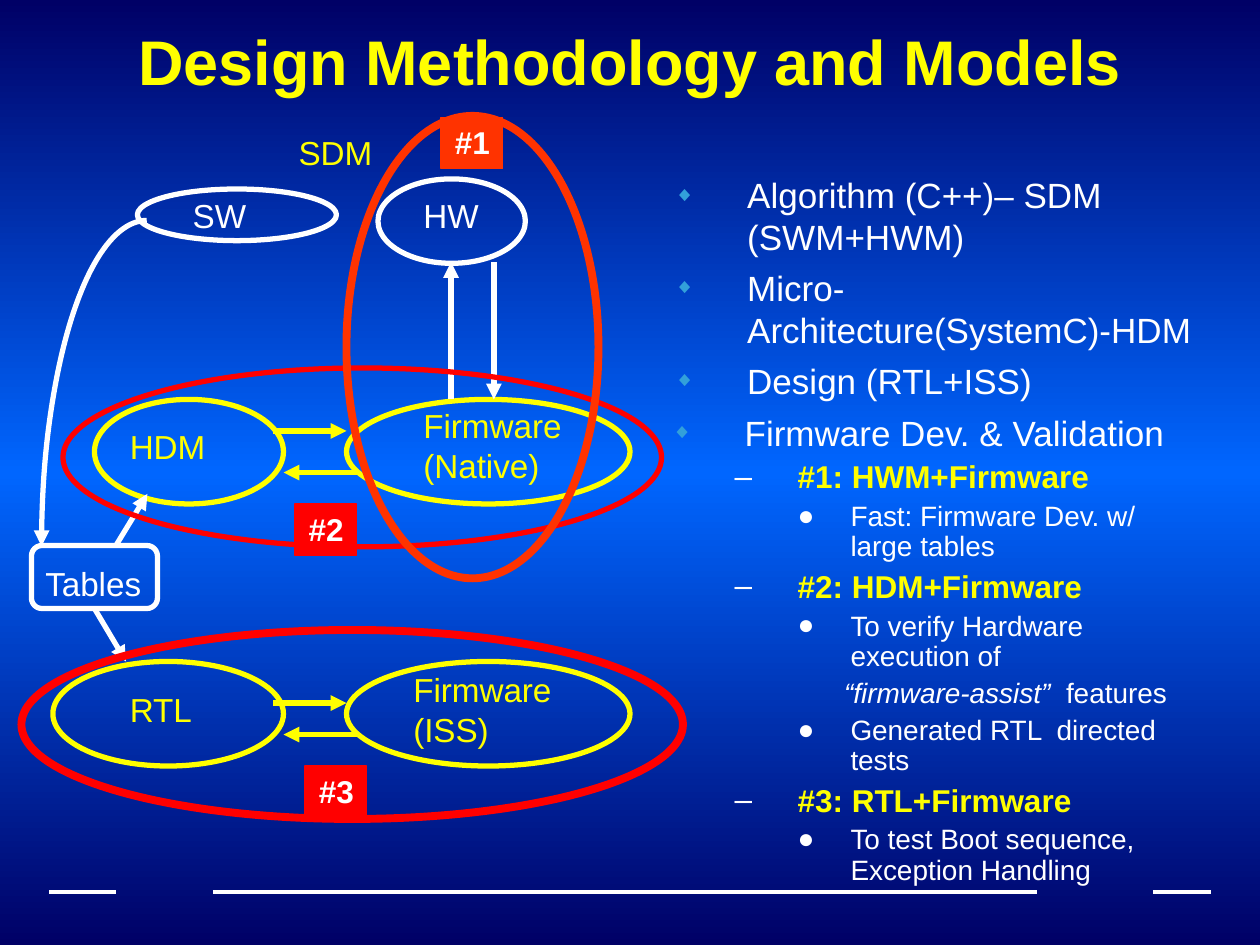
from copy import deepcopy
from lxml.etree import SubElement
from pptx import Presentation
from pptx.dml.color import RGBColor
from pptx.enum.shapes import MSO_CONNECTOR, MSO_SHAPE
from pptx.enum.text import MSO_ANCHOR, MSO_AUTO_SIZE, PP_ALIGN
from pptx.oxml.ns import qn
from pptx.util import Inches, Pt

FONT = "Arial"
COLORS = {
    "white": "FFFFFF", "yellow": "FFFF00", "red": "FF0000", "orange": "FF3300",
    "navy": "000066", "blue": "0066FF", "bullet": "32A0DA",
}
BACKGROUND = [(0, "navy"), (0.5, "blue"), (1, "navy")]
TITLE = "Design Methodology and Models"

LEVELS = {
    "topic": dict(level=0, left=0.58, hang=0.58, before=5, size=20, color="white",
                  bullet="◆", bullet_color="bullet", bullet_size=60),
    "pair": dict(level=1, left=1, hang=0.5, before=4.5, size=18, color="yellow",
                 bullet="–", bullet_color="white", bullet_size=100),
    "detail": dict(level=2, left=1.42, hang=0.42, before=4, size=16, color="white",
                   bullet="●", bullet_color="white", bullet_size=100),
    "plain": dict(level=2, left=1.37, hang=0, before=4, size=16, color="white",
                  bullet=None),
}
MODELS = [
    ("topic", ["Algorithm (C++)– SDM (SWM+HWM)"]),
    ("topic", ["Micro-Architecture(SystemC)-HDM"]),
    ("topic", ["Design (RTL+ISS)"]),
]
VALIDATION = [
    ("topic", ["Firmware Dev. & Validation"]),
    ("pair", ["#1: HWM+Firmware"]),
    ("detail", ["Fast: Firmware Dev. w/ large tables"]),
    ("pair", ["#2: HDM+Firmware"]),
    ("detail", ["To verify Hardware execution of"]),
    ("plain", ["“firmware-assist” ", " features"]),
    ("detail", ["Generated RTL  directed tests"]),
    ("pair", ["#3: RTL+Firmware"]),
    ("detail", ["To test Boot sequence, Exception Handling"]),
]
ITALIC = "“firmware-assist” "

NODES = [
    ("ellipse", (1.09, 1.5, 1.58, 0.41), "white"),
    ("ellipse", (3, 1.42, 1.17, 0.67), "white"),
    ("ellipse", (0.75, 3.17, 1.5, 0.83), "yellow"),
    ("ellipse", (2.75, 3.17, 2.25, 0.83), "yellow"),
    ("ellipse", (0.42, 5.25, 1.83, 0.83), "yellow"),
    ("ellipse", (2.75, 5.25, 2.25, 0.83), "yellow"),
    ("tables", (0.25, 4.33, 1, 0.5), "white"),
]
LABELS = [
    ("SDM", (2.26, 1, 0.8, 0.42), "yellow", False),
    ("SW", (1.42, 1.5, 0.64, 0.42), "white", False),
    ("HW", (3.25, 1.5, 0.65, 0.42), "white", False),
    ("HDM", (0.92, 3.33, 0.81, 0.42), "yellow", False),
    ("Firmware (Native)", (3.25, 3.17, 1.42, 0.74), "yellow", True),
    ("Tables", (0.25, 4.42, 1, 0.42), "white", False),
    ("RTL", (0.92, 5.42, 0.71, 0.42), "yellow", False),
    ("Firmware (ISS)", (3.17, 5.26, 1.42, 0.74), "yellow", True),
]
ARROWS = [
    ((2.17, 3.42), (2.75, 3.42), "yellow"),
    ((2.83, 3.75), (2.25, 3.75), "yellow"),
    ((2.17, 5.58), (2.75, 5.58), "yellow"),
    ((2.83, 5.83), (2.25, 5.83), "yellow"),
    ((3.92, 2.08), (3.92, 3.17), "white"),
    ((3.58, 3.17), (3.58, 2.08), "white"),
    ((0.92, 4.33), (1.17, 3.92), "white"),
    ((0.75, 4.83), (1, 5.25), "white"),
]
SW_TO_TABLES = (0.33, 1.75, 1.67, 5.17)
GROUPS = [
    ((0.5, 2.92, 4.75, 1.42), "red", 3),
    ((2.75, 0.92, 2, 3.67), "orange", 4.5),
    ((0.17, 5, 5.25, 1.5), "red", 4.5),
]
BADGES = [("#1", 3.5, 0.93, "orange"), ("#2", 2.34, 4, "red"), ("#3", 2.42, 6.08, "red")]
FOOTER_Y = 7.08
FOOTER_RULES = [(0.39, 0.92), (1.69, 8.23), (9.15, 9.61)]
KINDS = {"ellipse": MSO_SHAPE.OVAL, "tables": MSO_SHAPE.ROUNDED_RECTANGLE,
         "arc": MSO_SHAPE.ARC, "badge": MSO_SHAPE.RECTANGLE}


def rgb(name):
    return RGBColor.from_string(COLORS[name])


def place(box, bounds):
    box.left, box.top, box.width, box.height = map(Inches, bounds)


def add_span(para, text, size, color, bold=False):
    span = para.add_run()
    span.text = text
    span.font.name, span.font.size, span.font.bold = FONT, Pt(size), bold
    span.font.color.rgb = rgb(color)
    return span


def set_frame(frame, wrap):
    frame.word_wrap = wrap
    frame.auto_size = MSO_AUTO_SIZE.NONE
    frame.vertical_anchor = MSO_ANCHOR.TOP
    frame.margin_left = frame.margin_right = Inches(0.11)
    frame.margin_top = frame.margin_bottom = Inches(0.05)


def add_arrowhead(item, end):
    line = item.line._get_or_add_ln()
    SubElement(line, qn(f"a:{end}"), type="triangle")


def add_outline(page, kind, bounds, color, width=3):
    shape = page.shapes.add_shape(KINDS[kind], *map(Inches, bounds))
    shape.shadow.inherit = False
    shape.fill.background()
    shape.line.color.rgb = rgb(color)
    shape.line.width = Pt(width)
    return shape


def add_line(page, start, end, color, width, arrow=False):
    line = page.shapes.add_connector(MSO_CONNECTOR.STRAIGHT, *map(Inches, start + end))
    line.line.color.rgb = rgb(color)
    line.line.width = Pt(width)
    if arrow:
        add_arrowhead(line, "tailEnd")
    SubElement(line.element.spPr, qn("a:effectLst"))


def fill_list(box, bounds, items, spacing):
    place(box, bounds)
    frame = box.text_frame
    frame.auto_size = MSO_AUTO_SIZE.NONE
    for index, (kind, texts) in enumerate(items):
        style = LEVELS[kind]
        para = frame.add_paragraph() if index else frame.paragraphs[0]
        para.level = style["level"]
        props = para._p.get_or_add_pPr()
        props.set("marL", str(Inches(style["left"])))
        props.set("indent", str(-Inches(style["hang"])))
        if style["bullet"]:
            color = SubElement(props, qn("a:buClr"))
            SubElement(color, qn("a:srgbClr"), val=COLORS[style["bullet_color"]])
            SubElement(props, qn("a:buSzPct"), val=str(style["bullet_size"] * 1000))
            SubElement(props, qn("a:buFont"), typeface=FONT)
            SubElement(props, qn("a:buChar"), char=style["bullet"])
        else:
            SubElement(props, qn("a:buNone"))
        para.line_spacing = spacing
        para.space_before = Pt(style["before"] if index else 0)
        for text in texts:
            span = add_span(para, text, style["size"], style["color"], kind == "pair")
            span.font.italic = text == ITALIC


def paint_background(page):
    fill = page.background.fill
    fill.gradient()
    fill.gradient_angle = 270
    stops = page.element.find(".//" + qn("a:gsLst"))
    stops.append(deepcopy(stops[-1]))
    for stop, (position, color) in zip(fill.gradient_stops, BACKGROUND):
        stop.position = position
        stop.color.rgb = rgb(color)


def main():
    deck = Presentation()
    deck.slide_width, deck.slide_height = Inches(10), Inches(7.5)
    page = deck.slides.add_slide(deck.slide_layouts[3])
    paint_background(page)

    for left, right in FOOTER_RULES:
        add_line(page, (left, FOOTER_Y), (right, FOOTER_Y), "white", 2.25)

    title, models, validation = page.placeholders
    place(title, (0.23, 0.17, 9.54, 0.67))
    title.text_frame.auto_size = MSO_AUTO_SIZE.NONE
    title.text_frame.vertical_anchor = MSO_ANCHOR.BOTTOM
    para = title.text_frame.paragraphs[0]
    para.alignment, para.line_spacing = PP_ALIGN.CENTER, 0.9
    add_span(para, TITLE, 36, "yellow", True)
    fill_list(models, (5.25, 1.33, 4.42, 1.92), MODELS, 1.0)
    fill_list(validation, (5.23, 3.25, 4.42, 3.67), VALIDATION, 0.9)

    for kind, bounds, color in NODES:
        add_outline(page, kind, bounds, color)
    for text, bounds, color, wrap in LABELS:
        box = page.shapes.add_textbox(*map(Inches, bounds))
        set_frame(box.text_frame, wrap)
        add_span(box.text_frame.paragraphs[0], text, 19, color)
    for start, end, color in ARROWS:
        add_line(page, start, end, color, 3, arrow=True)
    curve = add_outline(page, "arc", SW_TO_TABLES, "white")
    curve.adjustments[0], curve.adjustments[1] = 108, 162
    add_arrowhead(curve, "headEnd")

    for bounds, color, width in GROUPS:
        add_outline(page, "ellipse", bounds, color, width)
    for text, left, top, color in BADGES:
        badge = add_outline(page, "badge", (left, top, 0.49, 0.41), color, 0.75)
        badge.fill.solid()
        badge.fill.fore_color.rgb = rgb(color)
        set_frame(badge.text_frame, False)
        para = badge.text_frame.paragraphs[0]
        para.alignment = PP_ALIGN.LEFT
        add_span(para, text, 18, "white", True)

    deck.save("out.pptx")


if __name__ == "__main__":
    main()
